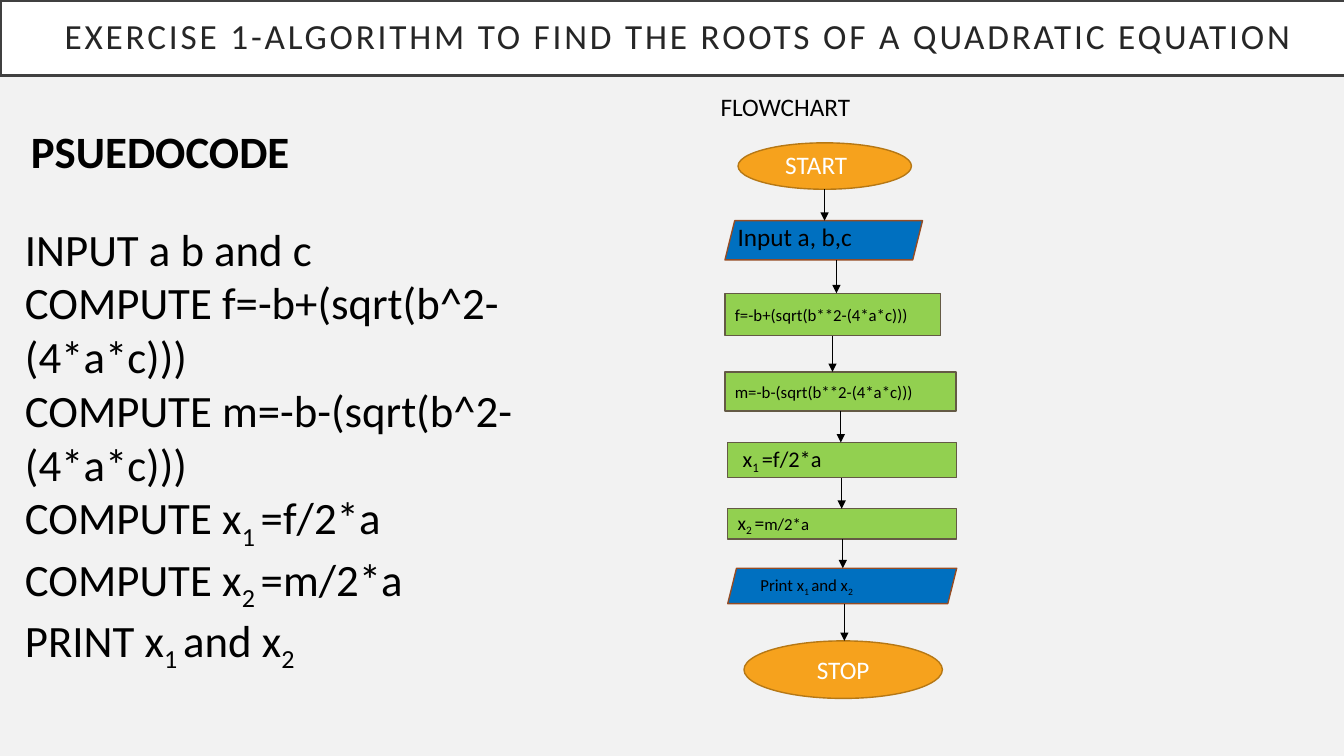
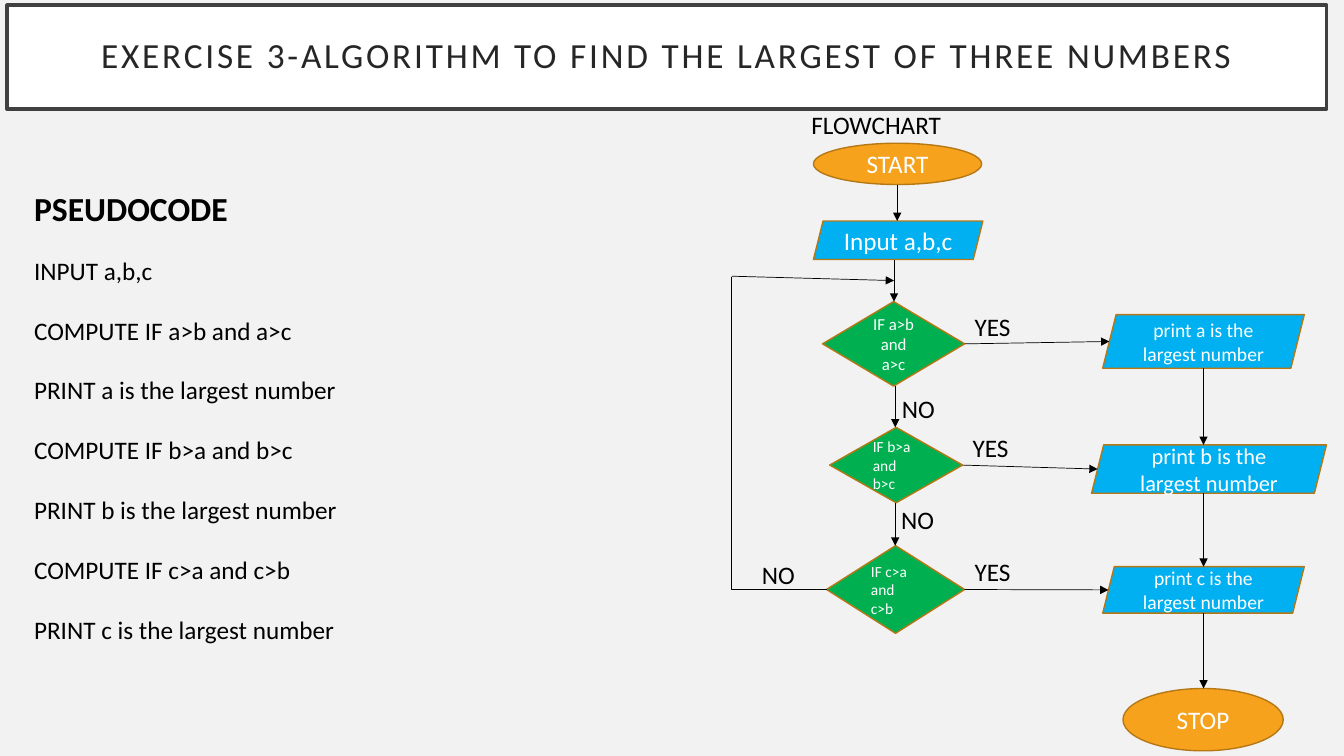
from dataclasses import dataclass

from lxml.etree import SubElement
from pptx import Presentation
from pptx.dml.color import RGBColor
from pptx.enum.shapes import MSO_CONNECTOR as CONN, MSO_SHAPE as SHAPE
from pptx.enum.text import MSO_ANCHOR as ANCHOR, MSO_AUTO_SIZE as FIT, PP_ALIGN as ALIGN
from pptx.oxml.ns import qn
from pptx.util import Cm, Pt


@dataclass(frozen=True)
class Theme:
    """Colours, font and type sizes shared by the slides."""
    font: str = "Calibri"
    paper: str = "F2F2F2"
    white: str = "FFFFFF"
    black: str = "000000"
    title_ink: str = "262626"
    title_edge: str = "404040"
    terminal: str = "F6A21D"
    edge: str = "B67815"
    process: str = "92D050"
    process_edge: str = "645A45"
    data: str = "0070C0"
    data_edge: str = "954C24"
    output: str = "00B0F0"
    decision: str = "00B050"
    title: float = 25.2
    huge: float = 32
    heading: float = 24
    body: float = 18
    step: float = 16
    note: float = 14
    small: float = 12
    tiny: float = 11


@dataclass(frozen=True)
class Box:
    """A rectangle in centimetres."""
    x: float
    y: float
    w: float
    h: float

    @property
    def right(self):
        """Right edge."""
        return self.x + self.w

    @property
    def bottom(self):
        """Bottom edge."""
        return self.y + self.h

    @property
    def mid(self):
        """Height of the horizontal centre line."""
        return self.y + self.h / 2

    def at(self, x, y, w, h=1.02):
        """Return a box placed relative to this one."""
        return Box(self.x + x, self.y + y, w, h)

    def lengths(self):
        """Return the four lengths for python-pptx."""
        return Cm(self.x), Cm(self.y), Cm(self.w), Cm(self.h)


T = Theme()


def rgb(color):
    """Turn a hex string into a colour."""
    return RGBColor.from_string(color)


def write(tf, text, size=T.body, color=T.black, bold=False, align=ALIGN.LEFT,
          after=0, leading=None, spacing=None):
    """Fill a frame, one paragraph a line, with subscripts between tildes."""
    tf.word_wrap = True
    for i, line in enumerate(text.split("\n")):
        p = tf.add_paragraph() if i else tf.paragraphs[0]
        p.alignment, p.space_after, p.line_spacing = align, Pt(after), leading
        for j, part in enumerate(line.split("~")):
            if not part:
                continue
            r = p.add_run()
            r.text = part
            r.font.name, r.font.size, r.font.bold = T.font, Pt(size), bold
            r.font.color.rgb = rgb(color)
            if j % 2:
                r.font._element.set("baseline", "-25000")
            if spacing:
                r.font._element.set("spc", str(spacing * 100))


def label(s, box, text, **fmt):
    """Add a text box."""
    tf = s.shapes.add_textbox(*box.lengths()).text_frame
    write(tf, text, **fmt)
    tf.auto_size = FIT.SHAPE_TO_FIT_TEXT


def node(s, kind, box, text="", fill=T.white, edge=T.edge, width=1, **fmt):
    """Add a filled shape with text and return it."""
    sp = s.shapes.add_shape(kind, *box.lengths())
    sp.shadow.inherit = False
    sp.fill.solid()
    sp.fill.fore_color.rgb = rgb(fill)
    sp.line.color.rgb, sp.line.width = rgb(edge), Pt(width)
    sp.text_frame.vertical_anchor = ANCHOR.MIDDLE
    write(sp.text_frame, text, **fmt)
    return sp


def line(s, x1, y1, x2, y2, kind=CONN.STRAIGHT, head=True):
    """Add a thin connector and return it."""
    c = s.shapes.add_connector(kind, Cm(x1), Cm(y1), Cm(x2), Cm(y2))
    c.line.color.rgb, c.line.width = rgb(T.black), Pt(0.5)
    if head:
        SubElement(c.line._get_or_add_ln(), qn("a:tailEnd"), type="triangle")
    SubElement(c._element.spPr, qn("a:effectLst"))
    return c


def flow_down(s, boxes, xs):
    """Join each box to the next with a vertical arrow."""
    for upper, lower, x in zip(boxes, boxes[1:], xs):
        line(s, x, upper.bottom, x, lower.y)


def title_band(s, box, text):
    """Draw the framed title."""
    sp = node(s, SHAPE.RECTANGLE, box, text, edge=T.title_edge, width=2.5, size=T.title,
              color=T.title_ink, align=ALIGN.CENTER, leading=0.9, spacing=2)
    tf = sp.text_frame
    tf.margin_left = tf.margin_right = tf.margin_top = tf.margin_bottom = Cm(0.51)


def roots_flowchart(s, box):
    """Draw the quadratic roots flowchart."""
    label(s, box.at(0, 0, 6.65), "FLOWCHART")
    data = dict(kind=SHAPE.PARALLELOGRAM, fill=T.data, edge=T.data_edge)
    process = dict(kind=SHAPE.RECTANGLE, fill=T.process, edge=T.process_edge)
    terminal = dict(kind=SHAPE.OVAL, fill=T.terminal, color=T.white, align=ALIGN.CENTER)
    steps = [
        (box.at(0.69, 1.42, 4.37, 1.17), "", T.body, terminal),
        (box.at(0.36, 3.38, 4.98, 0.99), "", T.body, data),
        (box.at(0.36, 5.21, 5.44, 1.07), "f=-b+(sqrt(b**2-(4*a*c)))", T.small, process),
        (box.at(0.36, 7.19, 5.82, 0.99), "m=-b-(sqrt(b**2-(4*a*c)))", T.small, process),
        (box.at(0.43, 8.97, 5.77, 0.89), " x~1 ~=f/2*a", T.step, process),
        (box.at(0.43, 10.64, 5.77, 0.76), "x~2 ~=~~m/2*a", T.note, process),
        (box.at(0.43, 12.14, 5.77, 0.89), "Print x~1 ~and x~2", T.small, data),
        (box.at(0.84, 13.97, 5, 1.45), "STOP", T.body, terminal),
    ]
    shapes = [node(s, box=b, text=text, size=size, **look) for b, text, size, look in steps]
    shapes[5].text_frame.paragraphs[0].runs[-1].font.size = Pt(T.small)
    xs = [box.x + dx for dx in (2.87, 3.17, 3.07, 3.28, 3.3, 3.33, 3.37)]
    flow_down(s, [step[0] for step in steps], xs)
    label(s, box.at(1.63, 1.47, 2.31), "START", color=T.white)
    label(s, box.at(0.43, 3.28, 5.77), "Input a, b,c")


def largest_flowchart(s, box):
    """Draw the largest of three numbers flowchart."""
    label(s, box.at(1.78, 0, 5.33), "FLOWCHART")
    centred = dict(color=T.white, align=ALIGN.CENTER)
    start, entry = box.at(2.08, 0.99, 4.24, 1.04), box.at(2.08, 2.95, 4.27, 0.97)
    stop = box.at(9.88, 14.73, 4.04, 1.57)
    node(s, SHAPE.OVAL, start, "START", fill=T.terminal, **centred)
    node(s, SHAPE.PARALLELOGRAM, entry, "Input a,b,c", fill=T.output, **centred)
    node(s, SHAPE.OVAL, stop, "STOP", fill=T.terminal, **centred)

    tests = [box.at(2.31, 4.98, 3.58, 2.13), box.at(2.49, 8.15, 3.35, 1.9),
             box.at(2.41, 11.13, 3.48, 2.21)]
    prints = [box.at(9.37, 5.31, 5.08, 1.35), box.at(9.09, 8.59, 5.92, 1.22),
              box.at(9.37, 11.66, 5.08, 1.17)]
    formats = [("IF a>b and a>c", T.small, ALIGN.CENTER, T.note),
               ("IF b>a and b>c", T.tiny, ALIGN.LEFT, T.step),
               ("IF c>a and c>b", T.tiny, ALIGN.LEFT, T.note)]
    for name, test, out, (text, size, align, out_size) in zip("abc", tests, prints, formats):
        node(s, SHAPE.DIAMOND, test, text, fill=T.decision, size=size, color=T.white, align=align)
        node(s, SHAPE.PARALLELOGRAM, out, f"print {name} is the largest number",
             fill=T.output, size=out_size, **centred)
        line(s, test.right, test.mid, out.x + out.h / 8, out.mid)
        label(s, Box(test.right, test.mid - 0.95, 1.85, 1.02), "YES")

    flow_down(s, [start, entry, *tests], [box.x + dx for dx in (4.19, 4.11, 4.14, 4.14)])
    flow_down(s, [*prints, stop], [box.x + 11.91] * 3)
    for x, y in ((4.06, 7.16), (4.04, 9.96), (0.53, 11.35)):
        label(s, box.at(x, y, 2.11), "NO")

    loop = line(s, box.x, box.y + 4.37, tests[2].x, tests[2].mid, CONN.ELBOW, head=False)
    loop._element.spPr.find(qn("a:prstGeom")).set("prst", "bentConnector2")
    loop._element.spPr.find(qn("a:xfrm")).set("rot", "10800000")
    line(s, box.x + 0.02, box.y + 4.34, box.x + 4.11, box.y + 4.45)


def roots_slide(s, box):
    """Build the quadratic roots slide."""
    title_band(s, box.at(0, 0, 34.19, 1.91),
               "EXERCISE 1-ALGORITHM TO FIND THE ROOTS OF A QUADRATIC EQUATION")
    label(s, box.at(0.53, 3, 9.8, 1.63), "PSUEDOCODE", size=T.huge, bold=True)
    label(s, box.at(0.38, 5.45, 14.3, 11.7),
          "INPUT a b and c\nCOMPUTE f=-b+(sqrt(b^2-(4*a*c)))\n"
          "COMPUTE m=-b-(sqrt(b^2-(4*a*c)))\nCOMPUTE x~1 ~=f/2*a\n"
          "COMPUTE x~2 ~=m/2*a\nPRINT x~1 ~and x~2", size=T.huge)
    roots_flowchart(s, box.at(17.91, 2.18, 6.65, 15.42))


def largest_slide(s, box):
    """Build the largest of three numbers slide."""
    title_band(s, box.at(0.18, 0.13, 33.25, 2.62),
               "EXERCISE 3-ALGORITHM TO FIND THE LARGEST OF THREE NUMBERS")
    label(s, box.at(0.61, 4.6, 7.37, 1.27), "PSEUDOCODE", size=T.heading, bold=True)
    tests = ("a>b and a>c", "b>a and b>c", "c>a and c>b")
    steps = [f"COMPUTE IF {test}\nPRINT {test[0]} is the largest number" for test in tests]
    label(s, box.at(0.61, 6.3, 14, 11.02), "\n".join(["INPUT a,b,c", *steps]), after=21.2)
    largest_flowchart(s, box.at(18.42, 2.62, 15.01, 16.3))


def main():
    """Build and save the presentation."""
    prs = Presentation()
    page = Box(0, 0, 33.87, 19.05)
    prs.slide_width, prs.slide_height = Cm(page.w), Cm(page.h)
    fill = prs.slide_master.background.fill
    fill.solid()
    fill.fore_color.rgb = rgb(T.paper)
    for build in (roots_slide, largest_slide):
        build(prs.slides.add_slide(prs.slide_layouts[6]), page)
    prs.save("out.pptx")


main()
